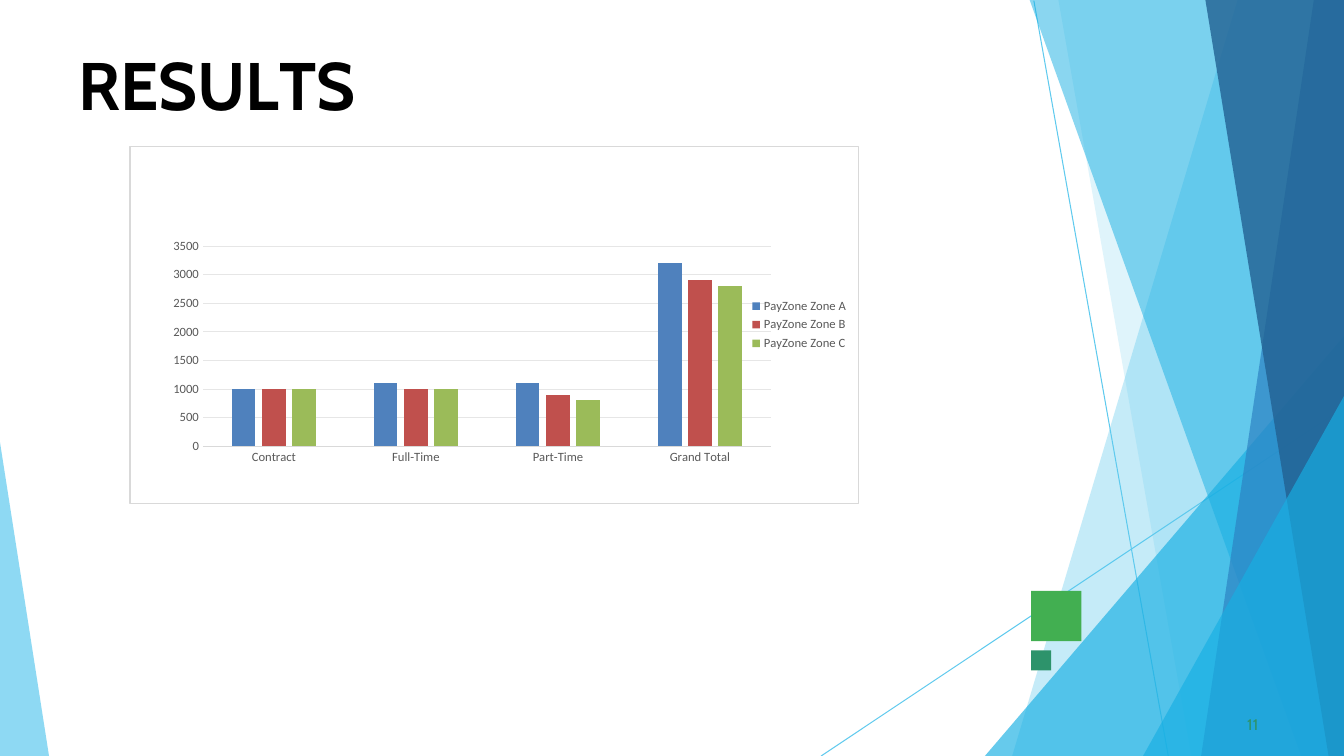
from lxml.etree import SubElement
from pptx import Presentation
from pptx.chart.data import CategoryChartData
from pptx.dml.color import RGBColor
from pptx.enum.chart import XL_CHART_TYPE, XL_LEGEND_POSITION, XL_TICK_MARK
from pptx.enum.shapes import MSO_CONNECTOR, MSO_SHAPE
from pptx.enum.text import MSO_ANCHOR, PP_ALIGN
from pptx.oxml import parse_xml
from pptx.oxml.ns import nsdecls, qn
from pptx.util import Pt

WIDTH, HEIGHT = 960, 540


def paint(color_format, color):
    color_format.rgb = RGBColor.from_string(color)


def fill_shape(shape, color, opacity=100):
    shape.shadow.inherit = False
    shape.line.fill.background()
    shape.fill.solid()
    paint(shape.fill.fore_color, color)
    if opacity < 100:
        color_element = shape.fill._xPr.find(qn("a:solidFill"))[0]
        SubElement(color_element, qn("a:alpha")).set("val", str(opacity * 1000))


presentation = Presentation()
presentation.slide_width, presentation.slide_height = Pt(WIDTH), Pt(HEIGHT)
slide = presentation.slides.add_slide(presentation.slide_layouts[5])
shapes = slide.shapes

# Thin background lines
for start_x, start_y, end_x, end_y in [
    (738.5, 0.5, 834.5, HEIGHT),
    (WIDTH, 291, 586.5, HEIGHT),
]:
    connector = shapes.add_connector(
        MSO_CONNECTOR.STRAIGHT, Pt(start_x), Pt(start_y), Pt(end_x), Pt(end_y)
    )
    paint(connector.line.color, "5FCAEE")
    connector.line.width = Pt(0.75)
    SubElement(connector._element.spPr, qn("a:effectLst"))

# Translucent facets: corner points, colour, opacity
top_right, bottom_right = (WIDTH, 0), (WIDTH, HEIGHT)
facets = [
    ([top_right, (884, 0), (723, HEIGHT), bottom_right], "5FCAEE", 36),
    ([top_right, (756, 0), (851, HEIGHT), bottom_right], "5FCAEE", 20),
    ([(WIDTH, 240), (703.5, HEIGHT), bottom_right], "17AFE3", 66),
    ([top_right, (735.5, 0), (929.5, HEIGHT), bottom_right], "17AFE3", 50),
    ([top_right, (938.5, 0), (858, HEIGHT), bottom_right], "2D83C3", 70),
    ([top_right, (861, 0), (949, HEIGHT), bottom_right], "226192", 80),
    ([(WIDTH, 283), (816.5, HEIGHT), bottom_right], "17AFE3", 66),
    ([(0, 316), (0, HEIGHT), (35, HEIGHT)], "5FCAEE", 70),
]
for corners, color, opacity in facets:
    points = [(Pt(x), Pt(y)) for x, y in corners]
    builder = shapes.build_freeform(*points[0])
    builder.add_line_segments(points[1:], close=True)
    fill_shape(builder.convert_to_shape(), color, opacity)

# Green squares
for top, size, color in [(422, 36, "42AF51"), (464.5, 14.4, "2D936B")]:
    square = shapes.add_shape(
        MSO_SHAPE.RECTANGLE, Pt(736.5), Pt(top), Pt(size), Pt(size)
    )
    fill_shape(square, color)

# Title and page number
title = shapes.title
title.left, title.top, title.width, title.height = Pt(55), Pt(30), Pt(232), Pt(58)
page_number = shapes.add_textbox(Pt(888), Pt(510), Pt(18), Pt(15))
for shape, runs, size, color, bold, indent, space in [
    (title, [("RESU", 0), ("L", -400), ("TS", 0)], 48, "000000", True, 1, 1.1),
    (page_number, [("11", 10)], 11, "2D936B", False, 2.9, 0.6),
]:
    frame = shape.text_frame
    frame.word_wrap = True
    frame.vertical_anchor = MSO_ANCHOR.TOP
    frame.margin_left = Pt(indent)
    frame.margin_right = frame.margin_bottom = 0
    frame.margin_top = Pt(1)
    paragraph = frame.paragraphs[0]
    paragraph.alignment = PP_ALIGN.LEFT
    paragraph.space_before = Pt(space)
    paragraph.font.name, paragraph.font.size = "Cabin", Pt(size)
    paragraph.font.bold = bold
    paint(paragraph.font.color, color)
    for text, spacing in runs:
        run = paragraph.add_run()
        run.text = text
        run._r.get_or_add_rPr().set("spc", str(spacing))

# Pay zone chart
chart_data = CategoryChartData()
chart_data.categories = ["Contract", "Full-Time", "Part-Time", "Grand Total"]
zones = [
    ("PayZone Zone A", [1000, 1100, 1100, 3200], "4F81BD"),
    ("PayZone Zone B", [1000, 1000, 900, 2900], "C0504D"),
    ("PayZone Zone C", [1000, 1000, 800, 2800], "9BBB59"),
]
for name, values, color in zones:
    chart_data.add_series(name, values)
chart = shapes.add_chart(
    XL_CHART_TYPE.COLUMN_CLUSTERED, Pt(92.5), Pt(104), Pt(521), Pt(256), chart_data
).chart
chart.has_title = False
chart.font.name, chart.font.size = "Calibri", Pt(10)
plot = chart.plots[0]
plot.gap_width, plot.overlap, plot.vary_by_categories = 246, -28, False
for series, (name, values, color) in zip(plot.series, zones):
    series.format.fill.solid()
    paint(series.format.fill.fore_color, color)

# Axes and legend
chart.has_legend = True
chart.legend.position = XL_LEGEND_POSITION.RIGHT
chart.legend.include_in_layout = False
category_axis, value_axis = chart.category_axis, chart.value_axis
for axis in (category_axis, value_axis):
    axis.major_tick_mark = axis.minor_tick_mark = XL_TICK_MARK.NONE
for font in (category_axis.tick_labels.font, value_axis.tick_labels.font, chart.legend.font):
    font.name, font.size = "Calibri", Pt(9)
    paint(font.color, "595959")
value_axis.minimum_scale, value_axis.maximum_scale, value_axis.major_unit = 0, 3500, 500
value_axis.format.line.fill.background()
for line, color in [
    (category_axis.format.line, "D9D9D9"),
    (value_axis.major_gridlines.format.line, "E6E6E6"),
]:
    paint(line.color, color)
    line.width = Pt(0.75)

# Plot position inside the chart
plot_area = chart._chartSpace.chart.plotArea
for old_layout in plot_area.findall(qn("c:layout")):
    plot_area.remove(old_layout)
layout = parse_xml(f"<c:layout {nsdecls('c')}><c:manualLayout/></c:layout>")
for tag, value in [
    ("layoutTarget", "inner"), ("xMode", "edge"), ("yMode", "edge"),
    ("x", "0.1"), ("y", "0.28"), ("w", "0.78"), ("h", "0.56"),
]:
    SubElement(layout[0], qn(f"c:{tag}")).set("val", value)
plot_area.insert(0, layout)

# Chart background and border
chart._chartSpace.chart.addnext(parse_xml(
    f"<c:spPr {nsdecls('c', 'a')}>"
    '<a:solidFill><a:srgbClr val="FFFFFF"/></a:solidFill>'
    '<a:ln w="9525"><a:solidFill><a:srgbClr val="D9D9D9"/></a:solidFill></a:ln>'
    "</c:spPr>"
))

presentation.save("out.pptx")
